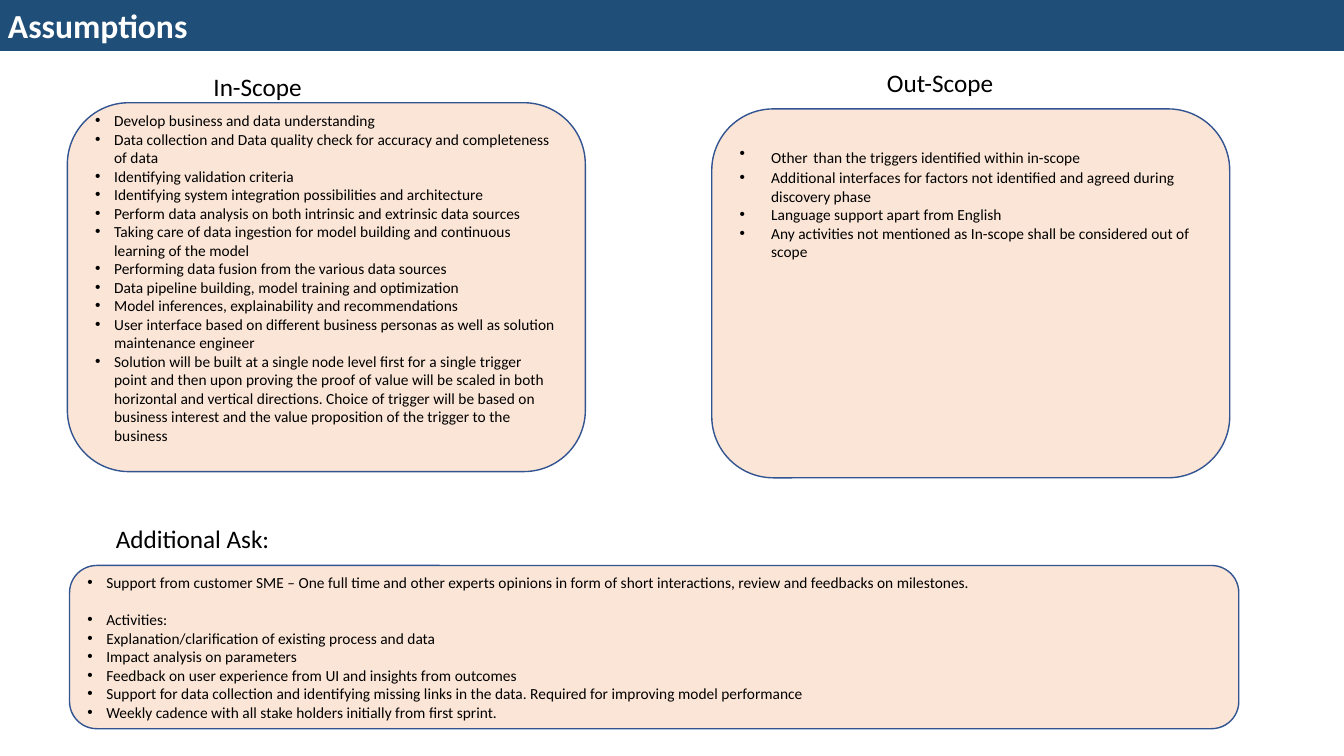
from lxml import etree
from pptx import Presentation
from pptx.dml.color import RGBColor
from pptx.enum.shapes import MSO_SHAPE
from pptx.enum.text import MSO_ANCHOR, PP_ALIGN
from pptx.oxml.ns import qn
from pptx.util import Pt

RECTANGLE, ROUNDED = MSO_SHAPE.RECTANGLE, MSO_SHAPE.ROUNDED_RECTANGLE
TOP, MIDDLE = MSO_ANCHOR.TOP, MSO_ANCHOR.MIDDLE
LEFT = PP_ALIGN.LEFT

NAVY = RGBColor(0x1F, 0x4E, 0x79)
PEACH = RGBColor(0xFB, 0xE5, 0xD6)
OUTLINE = RGBColor(0x32, 0x54, 0x91)
WHITE = RGBColor(0xFF, 0xFF, 0xFF)
BLACK = RGBColor(0, 0, 0)

TITLE_FONT = {"name": "Calibri", "size": Pt(24), "bold": True}
HEADING_FONT = {"name": "Calibri", "size": Pt(18)}
BODY_FONT = {"name": "Calibri", "size": Pt(11)}
LINE_HEIGHT = 13.43  # one line of body text

IN_SCOPE = [
    "Develop business and data understanding",
    "Data collection and Data quality check for accuracy and completeness of data",
    "Identifying validation criteria",
    "Identifying system integration possibilities and architecture",
    "Perform data analysis on both intrinsic and extrinsic data sources",
    "Taking care of data ingestion for model building and continuous learning of the model",
    "Performing data fusion from the various data sources",
    "Data pipeline building, model training and optimization",
    "Model inferences, explainability and recommendations",
    "User interface based on different business personas as well as solution "
    "maintenance engineer",
    "Solution will be built at a single node level first for a single trigger point and "
    "then upon proving the proof of value will be scaled in both horizontal and vertical "
    "directions. Choice of trigger will be based on business interest and the value "
    "proposition of the trigger to the business",
]
OUT_SCOPE = [
    ("Other", " ", "than the triggers identified within in-scope"),
    "Additional interfaces for factors not identified and agreed during discovery phase",
    "Language support apart from English",
    "Any activities not mentioned as In-scope shall be considered out of scope",
]
SUPPORT = [
    "Support from customer SME – One full time and other experts opinions in form of "
    "short interactions, review and feedbacks on milestones.",
    "Activities:",
    "Explanation/clarification of existing process and data",
    "Impact analysis on parameters",
    "Feedback on user experience from UI and insights from outcomes",
    "Support for data collection and identifying missing links in the data. "
    "Required for improving model performance",
    "Weekly cadence with all stake holders initially from first sprint.",
]


def set_format(target, values):
    for name, value in values.items():
        setattr(target, name, value)


def add_span(para, text, font, color):
    span = para.add_run()
    span.text = text
    set_format(span.font, font)
    span.font.color.rgb = color


def add_bullet(para, indent):
    properties = para._p.get_or_add_pPr()
    properties.set("marL", str(Pt(indent)))
    properties.set("indent", str(-Pt(indent)))
    etree.SubElement(properties, qn("a:buFont")).set("typeface", "Arial")
    etree.SubElement(properties, qn("a:buChar")).set("char", "•")


def add_panel(page, kind, box, fill):
    panel = page.shapes.add_shape(kind, *map(Pt, box))
    panel.shadow.inherit = False
    panel.fill.solid()
    panel.fill.fore_color.rgb = fill
    panel.line.fill.background()
    set_format(panel.text_frame, {"word_wrap": True, "vertical_anchor": MIDDLE})
    return panel


def add_title_bar(page, box, text):
    para = add_panel(page, RECTANGLE, box, NAVY).text_frame.paragraphs[0]
    para.alignment = LEFT
    add_span(para, text, TITLE_FONT, WHITE)


def add_heading(page, box, text):
    frame = page.shapes.add_textbox(*map(Pt, box)).text_frame
    set_format(frame, {"word_wrap": False, "vertical_anchor": TOP})
    add_span(frame.paragraphs[0], text, HEADING_FONT, BLACK)


def add_bullet_panel(page, box, items, indent, free_lines=0, gap_before=None):
    """Bulleted panel; free_lines stay empty below, a line is skipped before gap_before."""
    panel = add_panel(page, ROUNDED, box, PEACH)
    set_format(panel.line, {"width": Pt(1)})
    panel.line.color.rgb = OUTLINE
    frame = panel.text_frame
    frame.margin_bottom = Pt(3.6 + free_lines * LINE_HEIGHT)
    for index, item in enumerate(items):
        para = frame.add_paragraph() if index else frame.paragraphs[0]
        para.alignment = LEFT
        if item == gap_before:
            para.space_before = Pt(LINE_HEIGHT)
        add_bullet(para, indent)
        for text in [item] if isinstance(item, str) else item:
            # a lone space is set at heading size
            font = BODY_FONT if text.strip() else HEADING_FONT
            add_span(para, text, font, BLACK)


def build_assumptions(page, box):
    left, top, width, height = box
    add_title_bar(page, (left - 1.4, top, width + 1.4, 36.3), "Assumptions")
    # Scope panels
    add_bullet_panel(page, (left + 48.1, top + 73.4, 370, 263.5), IN_SCOPE, 13.5,
                     free_lines=1)
    add_bullet_panel(page, (left + 508.4, top + 77.8, 370, 263.5), OUT_SCOPE, 22.5,
                     free_lines=10)
    add_heading(page, (left + 145.4, top + 47.5, 78.5, 29), "In-Scope")
    add_heading(page, (left + 626.4, top + 44.6, 92.2, 29), "Out-Scope")
    # Requests to the customer
    add_bullet_panel(page, (left + 49.7, top + 403.9, 835.2, 116.6), SUPPORT, 13.5,
                     gap_before="Activities:")
    add_heading(page, (left + 75.6, top + 370.1, 296.6, 29), "Additional Ask:")


deck = Presentation()
set_format(deck, {"slide_width": Pt(960), "slide_height": Pt(540)})
assumptions_page = deck.slides.add_slide(deck.slide_layouts[6])
build_assumptions(assumptions_page, (0, 0, 960, 540))
deck.save("out.pptx")
